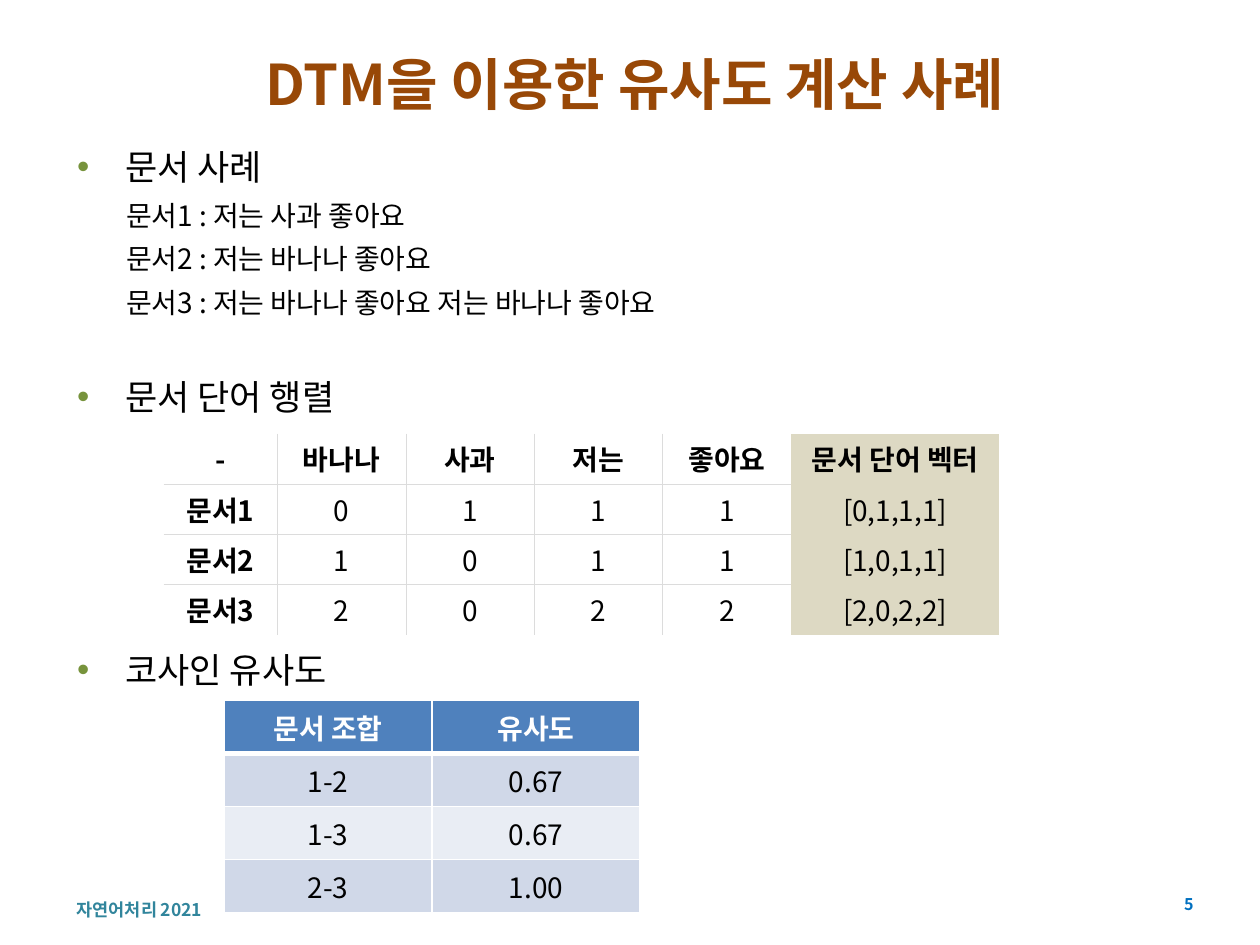
import pptx
import pptx.util
import pptx.dml.color
import pptx.enum.text
import pptx.oxml.ns
from lxml import etree
from pptx.util import Cm, Pt

FONT = "Noto Sans CJK KR"
COLORS = {
    "title": "984807", "text": "000000", "bullet": "77933C",
    "footer": "31859C", "number": "0070C0", "white": "FFFFFF",
    "vector": "DDD9C3", "grid": "DCDCDC",
    "header": "4F81BD", "band_dark": "D0D8E8", "band_light": "E9EDF4",
}
ALIGN = pptx.enum.text.PP_ALIGN
ANCHOR = pptx.enum.text.MSO_ANCHOR
qn = pptx.oxml.ns.qn


def format_runs(p, size, color, bold=False, latin=FONT):
    """Format every run of a paragraph, for Latin and Korean letters."""
    for r in p.runs:
        r.font.size = Pt(size)
        r.font.bold = bold
        r.font.name = latin
        r.font.color.rgb = pptx.dml.color.RGBColor.from_string(COLORS[color])
        ea = etree.Element(qn("a:ea"), typeface=FONT)
        r.font._element.find(qn("a:latin")).addnext(ea)


def format_cell(cell, text, fill, color, bold, borders):
    """Fill one cell; borders maps L, R, T, B to (colour, points) or None."""
    cell.text = text
    cell.vertical_anchor = ANCHOR.MIDDLE
    p = cell.text_frame.paragraphs[0]
    p.alignment = ALIGN.CENTER
    format_runs(p, 16, color, bold)
    tcPr = cell._tc.get_or_add_tcPr()
    for side, border in borders.items():
        ln = etree.SubElement(tcPr, qn("a:ln" + side))
        if border:
            ln.set("w", str(Pt(border[1])))
            solid = etree.SubElement(ln, qn("a:solidFill"))
            etree.SubElement(solid, qn("a:srgbClr"), val=COLORS[border[0]])
        else:
            etree.SubElement(ln, qn("a:noFill"))
    cell.fill.solid()
    cell.fill.fore_color.rgb = pptx.dml.color.RGBColor.from_string(COLORS[fill])


prs = pptx.Presentation()
prs.slide_width, prs.slide_height = Cm(25.4), Cm(19.05)
s = prs.slides.add_slide(prs.slide_layouts[1])

# Title
sp = s.shapes.title
sp.left, sp.top, sp.width, sp.height = Cm(1.3), Cm(0.91), Cm(23.01), Cm(1.52)
tf = sp.text_frame
tf.text = "DTM을 이용한 유사도 계산 사례"
tf.vertical_anchor = ANCHOR.MIDDLE
tf.auto_size = pptx.enum.text.MSO_AUTO_SIZE.NONE
tf.paragraphs[0].alignment = ALIGN.CENTER
format_runs(tf.paragraphs[0], 32, "title", True)

# Body: headings leave room above them for the tables
body = [
    ("문서 사례", True, 0),
    ("문서1 : 저는 사과 좋아요\v문서2 : 저는 바나나 좋아요\v"
     "문서3 : 저는 바나나 좋아요 저는 바나나 좋아요", False, 0),
    ("문서 단어 행렬", True, 26),
    ("코사인 유사도", True, 126),
]
sp = s.placeholders[1]
sp.left, sp.top, sp.width, sp.height = Cm(1.3), Cm(2.51), Cm(23.01), Cm(11.4)
tf = sp.text_frame
tf.auto_size = pptx.enum.text.MSO_AUTO_SIZE.NONE
tf.margin_top = Cm(0.22)
for i, (text, heading, gap) in enumerate(body):
    p = tf.paragraphs[0] if i == 0 else tf.add_paragraph()
    p.text = text
    p.space_before, p.space_after = Pt(gap), Pt(0)
    p.line_spacing = Pt(30 if heading else 25)
    pPr = p._p.get_or_add_pPr()
    pPr.set("marL", str(Cm(0.97 if heading else 0.99)))
    pPr.set("indent", str(Cm(-0.97 if heading else 0)))
    if heading:
        buClr = etree.SubElement(pPr, qn("a:buClr"))
        etree.SubElement(buClr, qn("a:srgbClr"), val=COLORS["bullet"])
        etree.SubElement(pPr, qn("a:buFont"), typeface="Arial")
        etree.SubElement(pPr, qn("a:buChar"), char="•")
        format_runs(p, 20, "text", latin="Arial")
    else:
        etree.SubElement(pPr, qn("a:buNone"))
        format_runs(p, 16, "text")

# Document-term matrix: grid lines only between the white cells
counts = [[0, 1, 1, 1], [1, 0, 1, 1], [2, 0, 2, 2]]
matrix = [["-", "바나나", "사과", "저는", "좋아요", "문서 단어 벡터"]]
for i, row in enumerate(counts, 1):
    values = [str(n) for n in row]
    matrix.append([f"문서{i}", *values, f"[{','.join(values)}]"])
tbl = s.shapes.add_table(4, 6, Cm(3.3), Cm(8.74), Cm(16.8), Cm(3.88)).table
for col, width in zip(tbl.columns, [2.29, 2.59, 2.59, 2.59, 2.59, 4.19]):
    col.width = Cm(width)
grid = ("grid", 0.38)
for i, row in enumerate(matrix):
    for j, text in enumerate(row):
        counted = j < 5
        borders = {
            "L": grid if 0 < j < 5 else None,
            "R": grid if j < 4 else None,
            "T": grid if i > 0 and counted else None,
            "B": grid if i < 3 and counted else None,
        }
        cell = tbl.cell(i, j)
        cell.margin_left = cell.margin_right = Cm(0.15)
        cell.margin_top = cell.margin_bottom = Cm(0.1)
        format_cell(cell, text, "white" if counted else "vector", "text",
                    i == 0 or j == 0, borders)

# Cosine similarity
similarity = [["문서 조합", "유사도"], ["1-2", "0.67"], ["1-3", "0.67"], ["2-3", "1.00"]]
tbl = s.shapes.add_table(4, 2, Cm(4.52), Cm(14.12), Cm(8.38), Cm(4.12)).table
fills = ["header", "band_dark", "band_light", "band_dark"]
for i, row in enumerate(similarity):
    for j, text in enumerate(row):
        borders = {side: ("white", 1) for side in "LRTB"}
        if i < 2:
            borders["B" if i == 0 else "T"] = ("white", 3)
        format_cell(tbl.cell(i, j), text, fills[i],
                    "white" if i == 0 else "text", i == 0, borders)

# Footer and page number
for text, left, top, width, height, size, color, align in [
    ("자연어처리 2021", 1.3, 18.14, 6.6, 0.41, 10, "footer", ALIGN.LEFT),
    ("5", 22.91, 17.93, 1.4, 0.61, 9.2, "number", ALIGN.RIGHT),
]:
    tf = s.shapes.add_textbox(Cm(left), Cm(top), Cm(width), Cm(height)).text_frame
    tf.word_wrap = True
    tf.vertical_anchor = ANCHOR.MIDDLE
    tf.margin_top = tf.margin_bottom = 0
    tf.text = text
    tf.paragraphs[0].alignment = align
    format_runs(tf.paragraphs[0], size, color, True)

prs.save("out.pptx")
